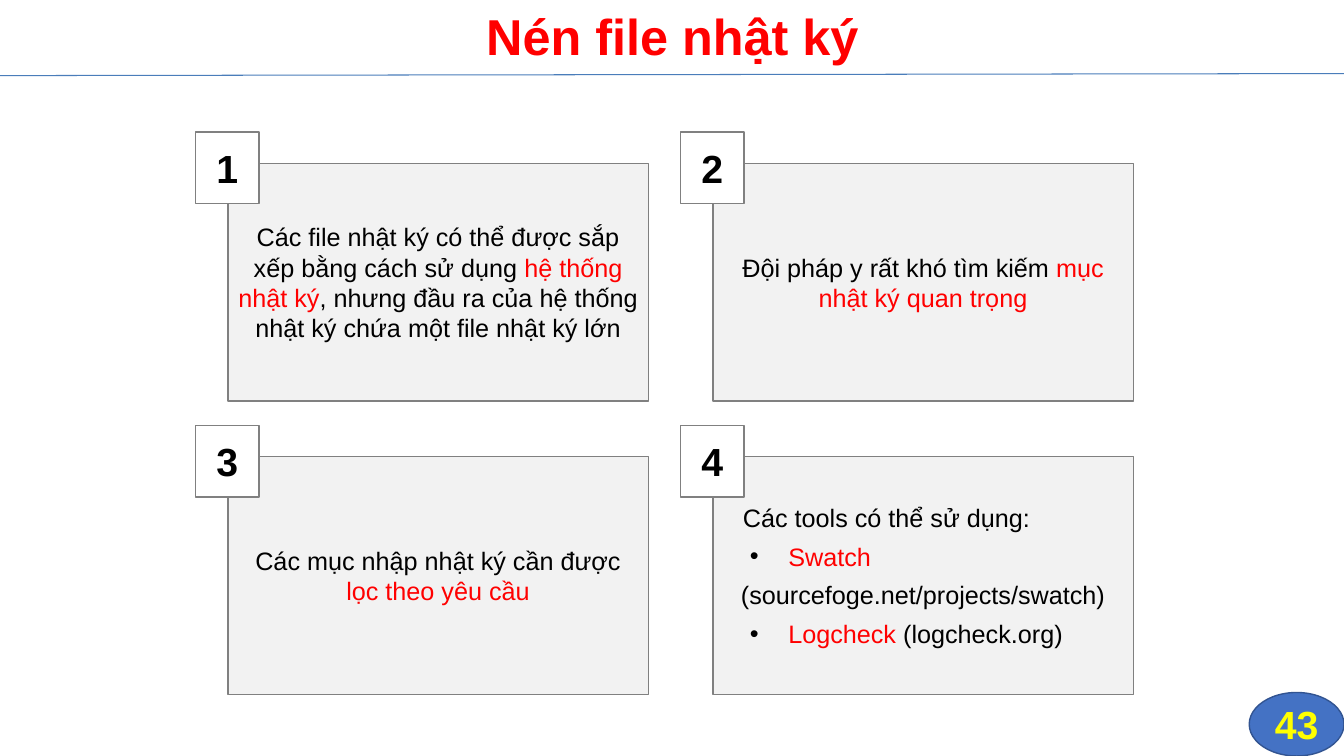
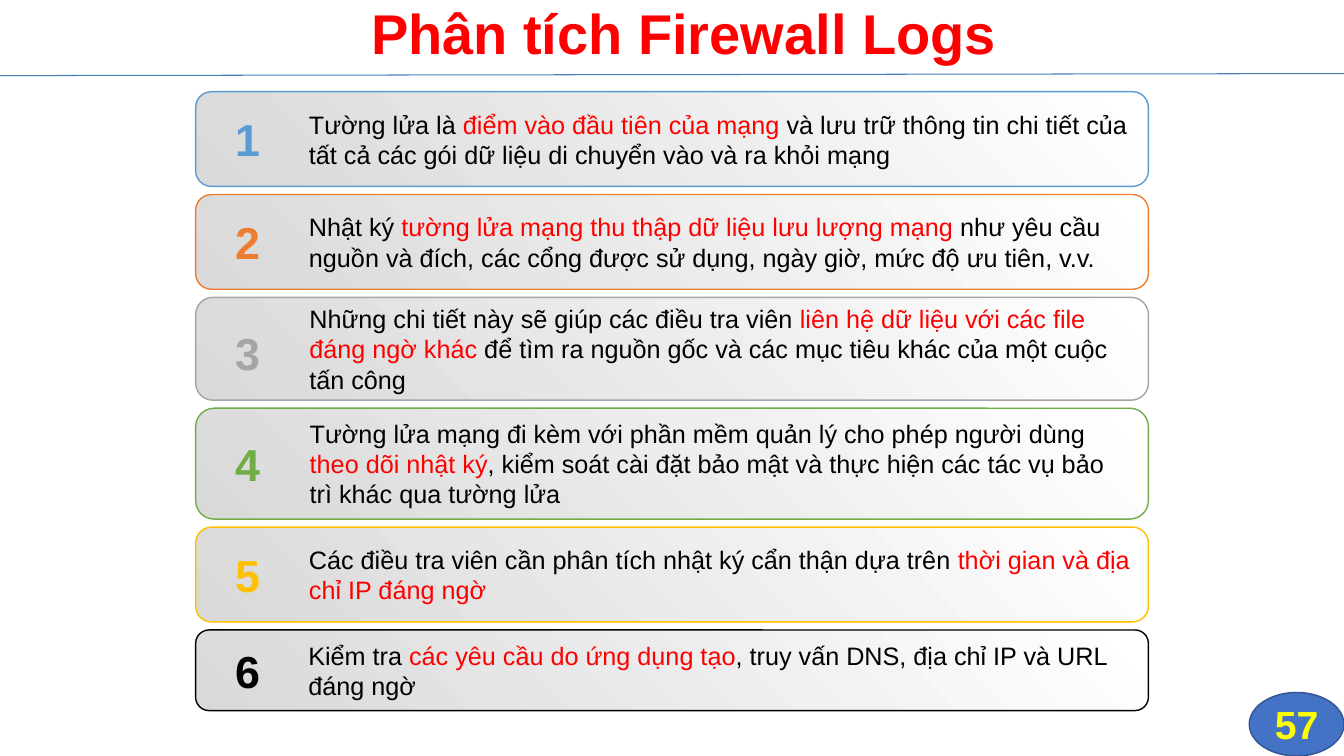
from dataclasses import dataclass

import lxml.etree
import pptx
import pptx.dml.color
import pptx.enum.shapes
import pptx.enum.text
import pptx.oxml.ns
import pptx.presentation
import pptx.shapes.autoshape
import pptx.slide
import pptx.text.text
import pptx.util

EMU_PER_PX = 9144
SHAPE = pptx.enum.shapes.MSO_SHAPE
ALIGN = pptx.enum.text.PP_ALIGN
MIDDLE = pptx.enum.text.MSO_ANCHOR.MIDDLE


@dataclass(frozen=True)
class Theme:
    font: str = "Arial"
    black: str = "000000"
    white: str = "FFFFFF"
    red: str = "FF0000"
    yellow: str = "FFFF00"
    card_fill: str = "F2F2F2"
    card_line: str = "808080"
    page_fill: str = "4472C4"
    page_line: str = "325491"
    rule: str = "4A7DBA"
    row_dark: str = "D9D9D9"
    body_size: int = 18
    badge_size: int = 28
    row_number_size: int = 32
    outline: float = 1
    rule_width: float = 0.75


THEME = Theme()


@dataclass(frozen=True)
class Box:
    left: int
    top: int
    width: int
    height: int

    def emu(self) -> tuple[pptx.util.Emu, ...]:
        return tuple(px(n) for n in (self.left, self.top, self.width, self.height))


@dataclass(frozen=True)
class Style:
    size: int = THEME.body_size
    color: str = THEME.black
    bold: bool = False


@dataclass(frozen=True)
class Line:
    """A paragraph; the parts of its text between asterisks are red."""
    text: str
    align: ALIGN = ALIGN.CENTER
    left: int = 0
    indent: int = 0
    bullet: str = ""


@dataclass(frozen=True)
class Row:
    text: str
    color: str
    height: int = 94
    number_drop: int = 0


SLIDE_WIDTH, SLIDE_HEIGHT = 1333, 750
PAGE_BOX = Box(1239, 687, 94, 63)
BODY = Style()
BADGE = Style(THEME.badge_size, bold=True)
PAGE = Style(THEME.badge_size, THEME.yellow, True)

CARDS = (
    (Line("Các file nhật ký có thể được sắp xếp bằng cách sử dụng *hệ thống nhật ký*, "
          "nhưng đầu ra của hệ thống nhật ký chứa một file nhật ký lớn"),),
    (Line("Đội pháp y rất khó tìm kiếm *mục nhật ký quan trọng*"),),
    (Line("Các mục nhập nhật ký cần được *lọc theo yêu cầu*"),),
    (Line("Các tools có thể sử dụng:", ALIGN.LEFT, 20),
     Line("*Swatch*", ALIGN.LEFT, 65, -38, "•"),
     Line("(sourcefoge.net/projects/swatch)"),
     Line("*Logcheck* (logcheck.org)", ALIGN.LEFT, 65, -38, "•")),
)

ROWS = (
    Row("Tường lửa là *điểm vào đầu tiên của mạng *và lưu trữ thông tin chi tiết "
        "của tất cả các gói dữ liệu di chuyển vào và ra khỏi mạng", "5B9BD5"),
    Row("Nhật ký *tường lửa mạng thu thập dữ liệu lưu lượng mạng *như yêu cầu nguồn "
        "và đích, các cổng được sử dụng, ngày giờ, mức độ ưu tiên, v.v.", "ED7D31"),
    Row("Những chi tiết này sẽ giúp các điều tra viên *liên hệ dữ liệu với các file "
        "đáng ngờ khác* để tìm ra nguồn gốc và các mục tiêu khác của một cuộc tấn công",
        "A5A5A5", 102, 4),
    Row("Tường lửa mạng đi kèm với phần mềm quản lý cho phép người dùng *theo dõi nhật "
        "ký*, kiểm soát cài đặt bảo mật và thực hiện các tác vụ bảo trì khác qua tường lửa",
        "70AD47", 110),
    Row("Các điều tra viên cần phân tích nhật ký cẩn thận dựa trên *thời gian và địa "
        "chỉ IP đáng ngờ*", "FFC000"),
    Row("Kiểm tra *các yêu cầu do ứng dụng tạo*, truy vấn DNS, địa chỉ IP và URL đáng ngờ",
        THEME.black, 80),
)


def px(length: int) -> pptx.util.Emu:
    return pptx.util.Emu(length * EMU_PER_PX)


def rgb(color: str) -> pptx.dml.color.RGBColor:
    return pptx.dml.color.RGBColor.from_string(color)


def add_bullet(paragraph: pptx.text.text._Paragraph, character: str) -> None:
    properties = paragraph._p.get_or_add_pPr()
    qn = pptx.oxml.ns.qn
    color = lxml.etree.SubElement(properties, qn("a:buClr"))
    lxml.etree.SubElement(color, qn("a:srgbClr"), val=THEME.black)
    lxml.etree.SubElement(properties, qn("a:buFont"), typeface=THEME.font)
    lxml.etree.SubElement(properties, qn("a:buChar"), char=character)


def write(frame: pptx.text.text.TextFrame, lines: tuple[Line, ...], style: Style,
          spacing: int = 0, line_spacing: float = 1.0) -> None:
    frame.word_wrap = True
    frame.vertical_anchor = MIDDLE
    for index, line in enumerate(lines):
        paragraph = frame.add_paragraph() if index else frame.paragraphs[0]
        paragraph.alignment = line.align
        paragraph.line_spacing = line_spacing
        paragraph.space_before = pptx.util.Pt(spacing if index else 0)
        paragraph.space_after = pptx.util.Pt(spacing)
        properties = paragraph._p.get_or_add_pPr()
        properties.set("marL", str(px(line.left)))
        properties.set("indent", str(px(line.indent)))
        if line.bullet:
            add_bullet(paragraph, line.bullet)
        for part, text in enumerate(line.text.split("*")):
            if not text:
                continue
            run = paragraph.add_run()
            run.text = text
            run.font.name = THEME.font
            run.font.size = pptx.util.Pt(style.size)
            run.font.bold = style.bold
            run.font.color.rgb = rgb(THEME.red if part % 2 else style.color)


def add_shape(slide: pptx.slide.Slide, kind: SHAPE, box: Box, fill: str,
              line: str) -> pptx.shapes.autoshape.Shape:
    shape = slide.shapes.add_shape(kind, *box.emu())
    shape.shadow.inherit = False
    shape.fill.solid()
    shape.fill.fore_color.rgb = rgb(fill)
    shape.line.color.rgb = rgb(line)
    shape.line.width = pptx.util.Pt(THEME.outline)
    return shape


def add_framed_slide(presentation: pptx.presentation.Presentation, title: str,
                     title_box: Box, title_size: int, page: int) -> pptx.slide.Slide:
    """Add a slide with the title, rule and page number that all slides share."""
    slide = presentation.slides.add_slide(presentation.slide_layouts[6])
    heading = slide.shapes.add_textbox(*title_box.emu())
    write(heading.text_frame, (Line(title),), Style(title_size, THEME.red, True),
          line_spacing=0.9)
    rule = slide.shapes.add_connector(pptx.enum.shapes.MSO_CONNECTOR.STRAIGHT,
                                      px(0), px(75), px(SLIDE_WIDTH), px(73))
    rule.line.color.rgb = rgb(THEME.rule)
    rule.line.width = pptx.util.Pt(THEME.rule_width)
    lxml.etree.SubElement(rule._element.spPr, pptx.oxml.ns.qn("a:effectLst"))
    ellipse = add_shape(slide, SHAPE.OVAL, PAGE_BOX, THEME.page_fill, THEME.page_line)
    write(ellipse.text_frame, (Line(str(page)),), PAGE)
    return slide


def add_cards(slide: pptx.slide.Slide) -> None:
    for index, lines in enumerate(CARDS):
        left, top = 194 + index % 2 * 481, 131 + index // 2 * 291
        card = add_shape(slide, SHAPE.RECTANGLE, Box(left + 32, top + 31, 417, 236),
                         THEME.card_fill, THEME.card_line)
        write(card.text_frame, lines, BODY, spacing=3)
        badge = add_shape(slide, SHAPE.RECTANGLE, Box(left, top, 63, 71),
                          THEME.white, THEME.card_line)
        write(badge.text_frame, (Line(str(index + 1)),), BADGE)


def add_rows(slide: pptx.slide.Slide) -> None:
    top, gap, number_height = 91, 8, 64
    for number, row in enumerate(ROWS, start=1):
        panel = add_shape(slide, SHAPE.ROUNDED_RECTANGLE, Box(194, top, 945, row.height),
                          THEME.white, row.color)
        panel.fill.gradient()
        panel.fill.gradient_angle = 45
        for stop, color in zip(panel.fill.gradient_stops, (THEME.row_dark, THEME.white)):
            stop.color.rgb = rgb(color)
        write(panel.text_frame, (Line(row.text, ALIGN.LEFT, 98),), BODY)
        number_top = top + (row.height - number_height) // 2 + row.number_drop
        label = slide.shapes.add_textbox(*Box(218, number_top, 55, number_height).emu())
        write(label.text_frame, (Line(str(number)),),
              Style(THEME.row_number_size, row.color, True))
        top += row.height + gap


def main() -> None:
    presentation = pptx.Presentation()
    presentation.slide_width = px(SLIDE_WIDTH)
    presentation.slide_height = px(SLIDE_HEIGHT)
    add_cards(add_framed_slide(presentation, "Nén file nhật ký",
                               Box(217, 0, 900, 77), 36, 43))
    add_rows(add_framed_slide(presentation, "Phân tích Firewall Logs",
                              Box(228, 0, 900, 73), 40, 57))
    presentation.save("out.pptx")


if __name__ == "__main__":
    main()
